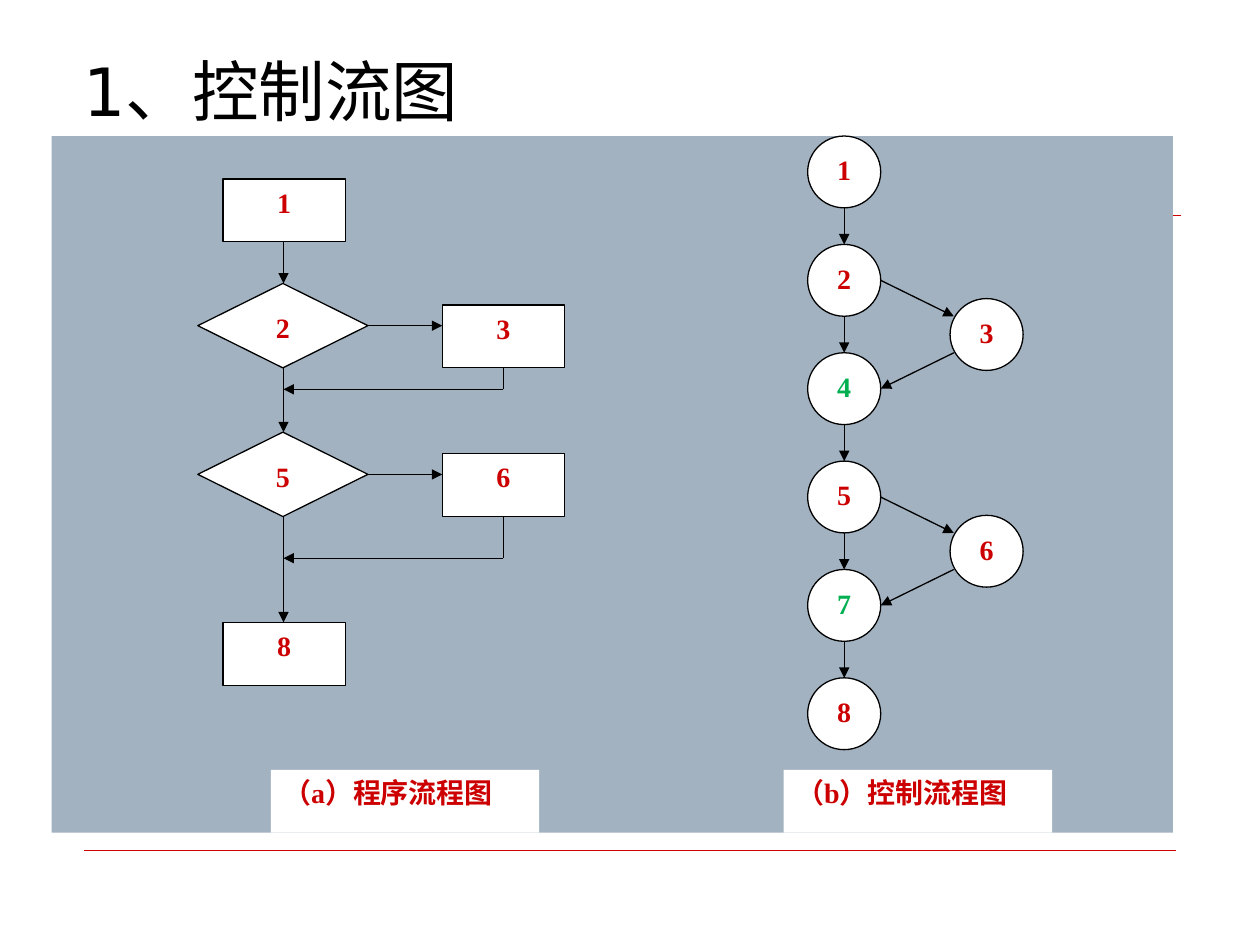
from dataclasses import dataclass

import lxml.etree
import pptx
import pptx.dml.color
import pptx.enum.shapes
import pptx.enum.text
import pptx.oxml.ns
import pptx.util

Inches = pptx.util.Inches
Shape = pptx.enum.shapes.MSO_SHAPE
Align = pptx.enum.text.PP_ALIGN
Anchor = pptx.enum.text.MSO_ANCHOR

RED, GREEN, BLACK, WHITE, PANEL = "CC0000", "00B050", "000000", "FFFFFF", "A3B2C1"


@dataclass
class Node:
    text: str
    kind: Shape
    left: float
    top: float
    width: float
    height: float
    color: str = RED

    @property
    def right(self) -> float:
        return self.left + self.width

    @property
    def bottom(self) -> float:
        return self.top + self.height

    @property
    def center_x(self) -> float:
        return self.left + self.width / 2

    @property
    def center_y(self) -> float:
        return self.top + self.height / 2


def rgb(value: str) -> pptx.dml.color.RGBColor:
    return pptx.dml.color.RGBColor.from_string(value)


def write(frame, text: str, *, size: float, font: str, color: str,
          bold: bool = False, align=Align.LEFT, anchor=Anchor.TOP) -> None:
    frame.word_wrap = True
    frame.auto_size = pptx.enum.text.MSO_AUTO_SIZE.NONE
    frame.vertical_anchor = anchor
    para = frame.paragraphs[0]
    para.alignment = align
    span = para.add_run()
    span.text = text
    span.font.size = pptx.util.Pt(size)
    span.font.name = font
    span.font.bold = bold
    span.font.color.rgb = rgb(color)


def add_box(page, kind: Shape, left: float, top: float, width: float, height: float,
            fill: str, outline: bool = False):
    box = page.shapes.add_shape(kind, Inches(left), Inches(top), Inches(width), Inches(height))
    box.shadow.inherit = False
    box.fill.solid()
    box.fill.fore_color.rgb = rgb(fill)
    if outline:
        box.line.color.rgb = rgb(BLACK)
        box.line.width = pptx.util.Pt(0.75)
    else:
        box.line.fill.background()
    return box


def add_node(page, node: Node) -> None:
    box = add_box(page, node.kind, node.left, node.top, node.width, node.height, WHITE, True)
    write(box.text_frame, node.text, size=16, font="Times New Roman", color=node.color,
          bold=True, align=Align.CENTER)


def add_line(page, x1: float, y1: float, x2: float, y2: float, *,
             color: str = BLACK, width: float = 0.75, arrow: bool = True) -> None:
    line = page.shapes.add_connector(pptx.enum.shapes.MSO_CONNECTOR.STRAIGHT,
                                     Inches(x1), Inches(y1), Inches(x2), Inches(y2))
    line.line.color.rgb = rgb(color)
    line.line.width = pptx.util.Pt(width)
    qn = pptx.oxml.ns.qn
    if arrow:
        lxml.etree.SubElement(line.line._get_or_add_ln(), qn("a:tailEnd"), type="triangle")
    lxml.etree.SubElement(line._element.spPr, qn("a:effectLst"))


def add_caption(page, text: str, left: float) -> None:
    box = add_box(page, Shape.RECTANGLE, left, 6.11, 2.13, 0.5, WHITE)
    write(box.text_frame, text, size=16, font="Times New Roman", color=RED, bold=True,
          align=Align.JUSTIFY)


def process(text: str, left: float, top: float) -> Node:
    return Node(text, Shape.RECTANGLE, left, top, 0.97, 0.5)


def decision(text: str, top: float) -> Node:
    return Node(text, Shape.FLOWCHART_DECISION, 1.57, top, 1.35, 0.67)


def circle(text: str, left: float, row: float, color: str = RED) -> Node:
    return Node(text, Shape.OVAL, left, 1.08 + 0.86 * row, 0.58, 0.57, color)


def draw_flowchart(page) -> None:
    main = [process("1", 1.77, 1.42), decision("2", 2.25),
            decision("5", 3.43), process("8", 1.77, 4.94)]
    side = [process("3", 3.51, 2.42), process("6", 3.51, 3.6)]
    for node in main + side:
        add_node(page, node)
    axis = 2.25
    for upper, lower in zip(main, main[1:]):
        add_line(page, axis, upper.bottom, axis, lower.top)
    # Each branch leaves a decision and rejoins the main axis
    for test, branch, join in zip(main[1:3], side, (3.09, 4.43)):
        add_line(page, test.right, test.center_y, branch.left, test.center_y)
        add_line(page, branch.center_x, branch.bottom, branch.center_x, join, arrow=False)
        add_line(page, branch.center_x, join, axis, join)


def draw_control_graph(page) -> None:
    main = [circle(text, 6.41, row, GREEN if text in "47" else RED)
            for row, text in enumerate("124578")]
    side = [circle("3", 7.54, 1.5), circle("6", 7.54, 3.5)]
    for node in main + side:
        add_node(page, node)
    for upper, lower in zip(main, main[1:]):
        add_line(page, upper.center_x, upper.bottom, lower.center_x, lower.top)
    # Side nodes are reached from one main node and lead to the next
    for start, branch, end in zip(main[1::2], side, main[2::2]):
        edge = branch.left + 0.03
        add_line(page, start.right, start.center_y, edge, branch.top + 0.14)
        add_line(page, edge, branch.bottom - 0.14, end.right, end.center_y)


def main() -> None:
    deck = pptx.Presentation()
    deck.slide_width, deck.slide_height = Inches(10), Inches(7.5)
    page = deck.slides.add_slide(deck.slide_layouts[5])

    # Title
    title = page.shapes.title
    title.left, title.top = Inches(0.56), Inches(0.34)
    title.width, title.height = Inches(8.75), Inches(0.74)
    write(title.text_frame, "1、控制流图", size=38, font="DejaVu Sans", color=BLACK,
          anchor=Anchor.BOTTOM)

    # Red rules and background panel
    add_line(page, 0.67, 1.71, 9.37, 1.71, color=RED, arrow=False)
    add_line(page, 0.67, 6.75, 9.33, 6.75, color=RED, width=0.25, arrow=False)
    add_box(page, Shape.RECTANGLE, 0.41, 1.08, 8.9, 5.53, PANEL)

    # Diagrams and captions
    draw_flowchart(page)
    draw_control_graph(page)
    add_caption(page, "（a）程序流程图", 2.15)
    add_caption(page, "（b）控制流程图", 6.22)

    deck.save("out.pptx")


if __name__ == "__main__":
    main()
